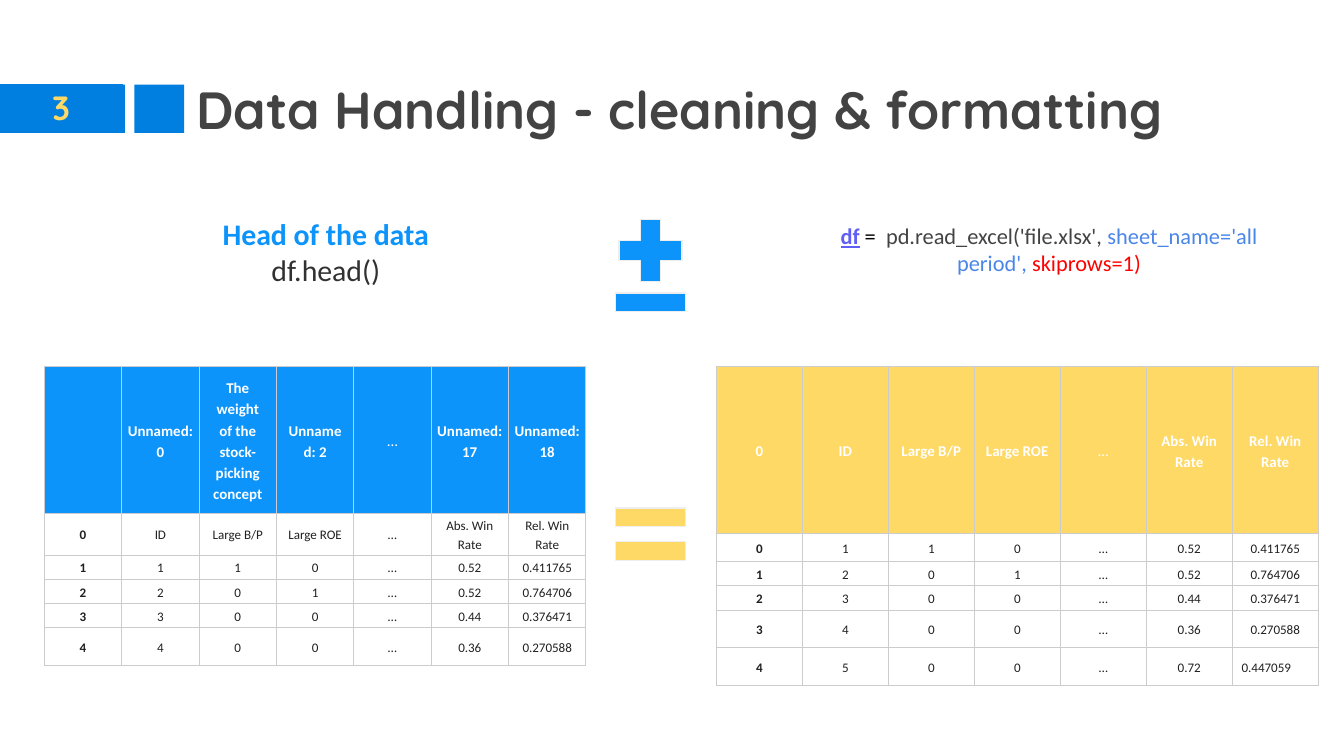
import pptx
import pptx.util
import pptx.dml.color
import pptx.enum.shapes
import pptx.enum.text
import pptx.oxml
import pptx.oxml.ns

Inches, Pt = pptx.util.Inches, pptx.util.Pt
KIND = pptx.enum.shapes.MSO_SHAPE
ANCHOR = pptx.enum.text.MSO_ANCHOR
ALIGN = pptx.enum.text.PP_ALIGN

# Content
BLUE, DEEP, GOLD, GREY, WHITE = "0D94FB", "007FE0", "FFD966", "434343", "FFFFFF"
TITLE = "Data Handling - cleaning & formatting"
NAMES = ["ID", "Large B/P", "Large ROE", "…", "Abs. Win Rate", "Rel. Win Rate"]
DATA = [
    ["1", "1", "0", "…", "0.52", "0.411765"],
    ["2", "0", "1", "…", "0.52", "0.764706"],
    ["3", "0", "0", "…", "0.44", "0.376471"],
    ["4", "0", "0", "…", "0.36", "0.270588"],
    ["5", "0", "0", "…", "0.72", "0.447059"],
]
RAW_HEAD = ["", "Unnamed: 0", "The weight of the stock-picking concept",
            "Unnamed: 2", "…", "Unnamed: 17", "Unnamed: 18"]

# Left, width, row heights, header fill, header, body
TABLES = [
    (0.33, 4.03, [1.09, 0.31, 0.18, 0.18, 0.18, 0.28], BLUE,
     RAW_HEAD, [NAMES] + DATA[:4]),
    (5.33, 4.48, [1.24, 0.21, 0.18, 0.18, 0.28, 0.28], GOLD,
     ["0"] + NAMES, DATA),
]
TABLE_TOP = 2.73

# Box, anchor, paragraphs of (text, format) runs
TEXTS = [
    ((0.41, 1.81, 4.03, 0.43), ANCHOR.BOTTOM, [
        [("Head of the data", dict(size=16, color=BLUE, bold=True))],
        [("df.head()", dict(size=16, color="313131"))],
    ]),
    ((5.93, 1.35, 3.75, 1.01), ANCHOR.MIDDLE, [[
        ("df", dict(size=12, color="5F5FF5", bold=True, underline=True)),
        (" =  ", dict(size=12, color="000000")),
        ("pd.read_excel('file.xlsx', ", dict(size=12, color=GREY)),
        ("sheet_name='all period', ", dict(size=12, color="4A86E8")),
        ("skiprows=1)", dict(size=12, color="FF0000")),
    ]]),
]

# Kind, box, fill, line
SHAPES = [
    (KIND.RECTANGLE, (0, 0.63, 0.93, 0.36), DEEP, None),
    (KIND.RECTANGLE, (1, 0.63, 0.37, 0.36), DEEP, None),
    (KIND.RECTANGLE, (4.58, 2.18, 0.52, 0.14), BLUE, "EEEEEE"),
    (KIND.MATH_PLUS, (4.52, 1.55, 0.64, 0.63), BLUE, "EEEEEE"),
    (KIND.RECTANGLE, (4.58, 3.78, 0.52, 0.14), GOLD, "EEEEEE"),
    (KIND.RECTANGLE, (4.58, 4.03, 0.52, 0.14), GOLD, "EEEEEE"),
]


def paint(part, tone):
    part.solid()
    part.fore_color.rgb = pptx.dml.color.RGBColor.from_string(tone)


def write(para, text, size, color, name="Calibri", **form):
    run = para.add_run()
    run.text = text
    form = dict(bold=False, size=Pt(size), name=name) | form
    for key, val in form.items():
        setattr(run.font, key, val)
    paint(run.font.fill, color)


def set_frame(frame, anchor, pad=0.1):
    form = dict(word_wrap=True, vertical_anchor=anchor,
                auto_size=pptx.enum.text.MSO_AUTO_SIZE.NONE)
    for side in ("left", "top", "right", "bottom"):
        form["margin_" + side] = Inches(pad)
    for key, val in form.items():
        setattr(frame, key, val)


def add_shape(kind, box, fill, line):
    shape = slide.shapes.add_shape(kind, *map(Inches, box))
    shape.shadow.inherit = False
    paint(shape.fill, fill)
    if line:
        paint(shape.line.fill, line)
        shape.line.width = Pt(0.75)
    else:
        shape.line.fill.background()
    return shape


def add_borders(cell):
    props = cell._tc.get_or_add_tcPr()
    for side in "LRTB":
        props.append(pptx.oxml.parse_xml(
            f'<a:ln{side} {pptx.oxml.ns.nsdecls("a")} w="{Pt(0.6)}">'
            f'<a:solidFill><a:srgbClr val="CCCCCC"/></a:solidFill></a:ln{side}>'))


def fill_cell(cell, text, fill, wide, left, **form):
    add_borders(cell)
    paint(cell.fill, fill)
    across, down = (0.07, 0.07) if wide else (0.03, 0.02)
    look = dict(vertical_anchor=ANCHOR.MIDDLE,
                margin_left=Inches(across), margin_right=Inches(across),
                margin_top=Inches(down), margin_bottom=Inches(down))
    for key, val in look.items():
        setattr(cell, key, val)
    para = cell.text_frame.paragraphs[0]
    para.alignment = ALIGN.LEFT if left else ALIGN.CENTER
    para.line_spacing = 1.15
    if text:
        write(para, text, **form)


def add_table(left, width, heights, tone, head, body):
    rows = [head] + [[str(i)] + row for i, row in enumerate(body)]
    grid = slide.shapes.add_table(
        len(rows), len(head), Inches(left), Inches(TABLE_TOP),
        Inches(width), Inches(sum(heights))).table
    grid.first_row = grid.horz_banding = False
    for r, row in enumerate(rows):
        grid.rows[r].height = Inches(heights[r])
        for c, text in enumerate(row):
            top = r == 0
            last = text == "0.447059"  # the one left-aligned value
            fill_cell(grid.cell(r, c), text, tone if top else WHITE,
                      wide=last or (top and c in (2, 3)), left=last,
                      size=8 if top else 7, color=WHITE if top else "212121",
                      bold=text != "…" if top else c == 0)


# Widescreen page, 16 to 9
deck = pptx.Presentation()
deck.slide_width, deck.slide_height = Inches(10), Inches(10 * 9 / 16)
slide = deck.slides.add_slide(deck.slide_layouts[5])

# Title
title = slide.shapes.title
for key, val in zip(("left", "top", "width", "height"), (1.36, 0.57, 9.08, 0.47)):
    setattr(title, key, Inches(val))
set_frame(title.text_frame, ANCHOR.MIDDLE)
para = title.text_frame.paragraphs[0]
para.alignment = ALIGN.LEFT
write(para, TITLE, 28, GREY, "Quicksand", bold=True)

# Bars, signs and slide number
for item in SHAPES:
    add_shape(*item)
badge = add_shape(KIND.RECTANGLE, (0, 0.63, 0.91, 0.34), DEEP, DEEP)
set_frame(badge.text_frame, ANCHOR.MIDDLE)
para = badge.text_frame.paragraphs[0]
para.alignment = ALIGN.CENTER
write(para, "3", 18, GOLD, "Quicksand", bold=True)

# Captions
for box, anchor, paras in TEXTS:
    frame = slide.shapes.add_textbox(*map(Inches, box)).text_frame
    set_frame(frame, anchor)
    for i, runs in enumerate(paras):
        para = frame.add_paragraph() if i else frame.paragraphs[0]
        para.alignment = ALIGN.CENTER
        for text, form in runs:
            write(para, text, **form)

# Tables
for item in TABLES:
    add_table(*item)

deck.save("out.pptx")
